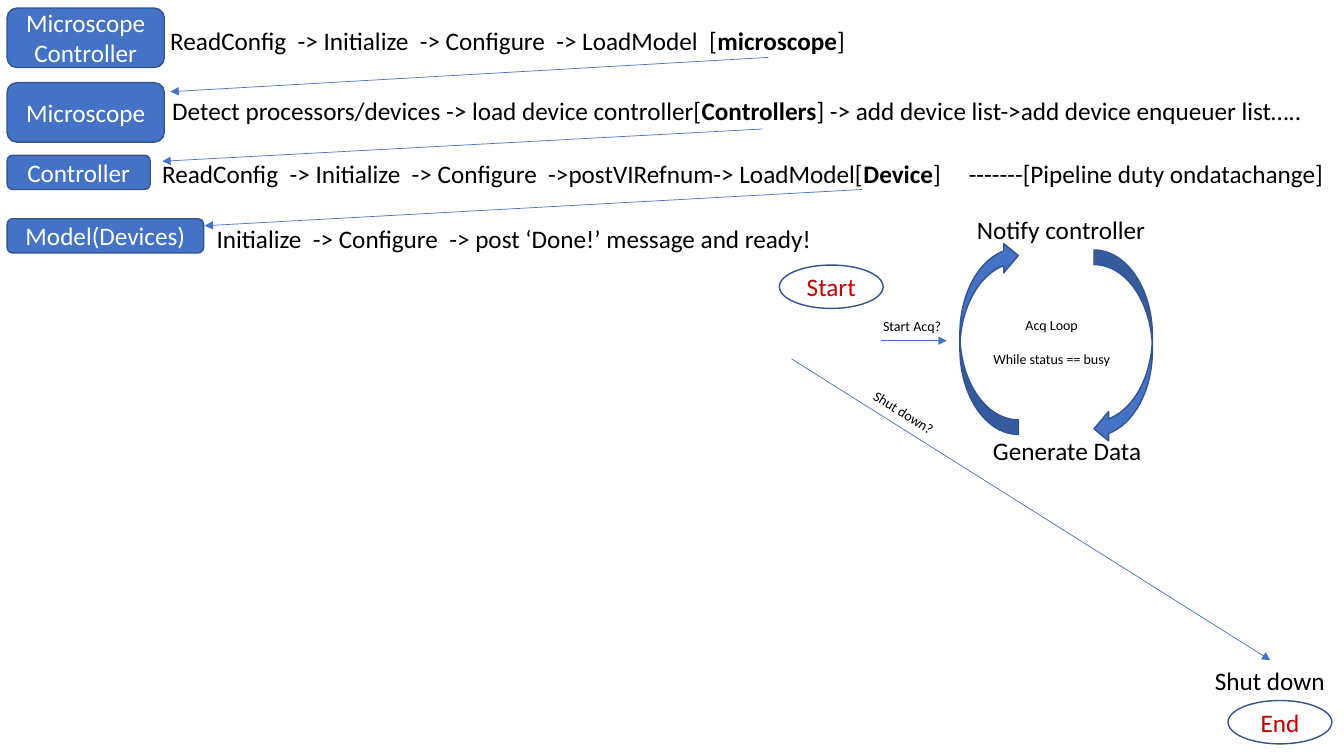
from lxml import etree
from pptx import Presentation
from pptx import util as u
from pptx.dml.color import RGBColor
from pptx.enum import shapes, text
from pptx.oxml import ns

BLUE = RGBColor(0x44, 0x72, 0xC4)
EDGE = RGBColor(0x32, 0x54, 0x91)
RED = RGBColor(0xC0, 0x00, 0x00)
BLACK = RGBColor(0, 0, 0)
WHITE = RGBColor(0xFF, 0xFF, 0xFF)
KIND = shapes.MSO_SHAPE

ROWS = [
    ("Microscope Controller", (0.07, 0.08, 1.56, 0.59), (1.59, 0.2, 6.96, 0.4),
     ["ReadConfig  -> Initialize  -> Configure  -> LoadModel  [",
      "microscope", "]"]),
    ("Microscope", (0.07, 0.82, 1.56, 0.59), (1.61, 0.9, 11.52, 0.4),
     ["Detect processors/devices -> load device controller[",
      "Controllers", "] -> add device list->add device enqueuer list….."]),
    ("Controller", (0.07, 1.54, 1.42, 0.34), (1.51, 1.52, 12.25, 0.4),
     ["ReadConfig  -> Initialize  -> Configure  ->postVIRefnum-> LoadModel[",
      "Device", "]\t-------[Pipeline duty ondatachange]"]),
    ("Model(Devices)", (0.07, 2.17, 1.95, 0.34), (2.05, 2.17, 6.18, 0.4),
     ["Initialize  -> Configure  -> post ‘Done!’ message and ready!"]),
]

LABELS = [
    ("Start Acq?", (8.66, 3.1, 0.79, 0.27), 10, 0),
    ("Generate Data", (9.75, 4.27, 1.69, 0.4), 18, 0),
    ("Notify controller", (9.59, 2.08, 1.89, 0.4), 18, 0),
    ("Shut down?", (8.53, 3.96, 0.88, 0.27), 10, 32),
    ("Shut down", (11.95, 6.55, 1.31, 0.4), 18, 0),
]

ARROWS = [
    (8.74, 3.38, 9.39, 3.38),
    (7.85, 3.56, 12.6, 6.55),
    (7.62, 0.57, 1.69, 0.91),
    (7.56, 1.28, 1.61, 1.6),
    (8.55, 1.88, 2.03, 2.24),
]


def inches(vals):
    return [u.Inches(v) for v in vals]


def write(para, parts, size=18, color=BLACK, align=None, gap=0):
    if align is not None:
        para.alignment = align
    if gap:
        para.space_before = u.Pt(gap)
    for i, part in enumerate(parts):
        run = para.add_run()
        run.text = part
        run.font.name = "Calibri"
        run.font.size = u.Pt(size)
        run.font.bold = i % 2 == 1
        run.font.color.rgb = color


def add_text(slide, box, parts, turn=0, **form):
    item = slide.shapes.add_textbox(*inches(box))
    item.rotation = turn
    frame = item.text_frame
    frame.word_wrap = False
    frame.auto_size = text.MSO_AUTO_SIZE.SHAPE_TO_FIT_TEXT
    write(frame.paragraphs[0], parts, **form)
    return frame


def set_tab(para, pos):
    props = para._p.get_or_add_pPr()
    tabs = etree.SubElement(props, ns.qn("a:tabLst"))
    etree.SubElement(tabs, ns.qn("a:tab"), pos=str(u.Inches(pos)), algn="l")


def add_shape(slide, kind, box, label="", fill=BLUE, color=WHITE, turn=0):
    item = slide.shapes.add_shape(kind, *inches(box))
    item.shadow.inherit = False
    item.rotation = turn
    if fill is None:
        item.fill.background()
    else:
        item.fill.solid()
        item.fill.fore_color.rgb = fill
    item.line.color.rgb = EDGE
    item.line.width = u.Pt(1)
    if label:
        frame = item.text_frame
        frame.word_wrap = True
        frame.vertical_anchor = text.MSO_ANCHOR.MIDDLE
        write(frame.paragraphs[0], [label], color=color,
              align=text.PP_ALIGN.CENTER)


def add_arrow(slide, ends):
    link = slide.shapes.add_connector(shapes.MSO_CONNECTOR.STRAIGHT,
                                      *inches(ends))
    link.line.color.rgb = BLUE
    link.line.width = u.Pt(0.5)
    etree.SubElement(link.line._get_or_add_ln(), ns.qn("a:tailEnd"),
                     type="triangle")
    etree.SubElement(link._element.spPr, ns.qn("a:effectLst"))


def add_loop(slide):
    add_shape(slide, KIND.CURVED_LEFT_ARROW, (9.52, 2.39, 0.58, 1.92), turn=180)
    add_shape(slide, KIND.CURVED_LEFT_ARROW, (10.85, 2.48, 0.58, 1.92))
    mid = text.PP_ALIGN.CENTER
    frame = add_text(slide, (9.74, 3.09, 1.38, 0.61), ["Acq Loop"],
                     size=10, align=mid)
    write(frame.add_paragraph(), ["While status == busy"],
          size=10, align=mid, gap=12)


def main():
    deck = Presentation()
    deck.slide_width, deck.slide_height = inches((13.33, 7.5))
    slide = deck.slides.add_slide(deck.slide_layouts[6])
    add_loop(slide)
    for label, box, size, turn in LABELS:
        add_text(slide, box, [label], size=size, turn=turn)
    for label, left, top in (("Start", 7.73, 2.63), ("End", 12.18, 6.95)):
        add_shape(slide, KIND.OVAL, (left, top, 1.03, 0.43), label,
                  fill=None, color=RED)
    for name, box, area, parts in ROWS:
        add_shape(slide, KIND.ROUNDED_RECTANGLE, box, name)
        frame = add_text(slide, area, parts)
        if "\t" in parts[-1]:
            set_tab(frame.paragraphs[0], 8)
    for ends in ARROWS:
        add_arrow(slide, ends)
    deck.save("out.pptx")


if __name__ == "__main__":
    main()
